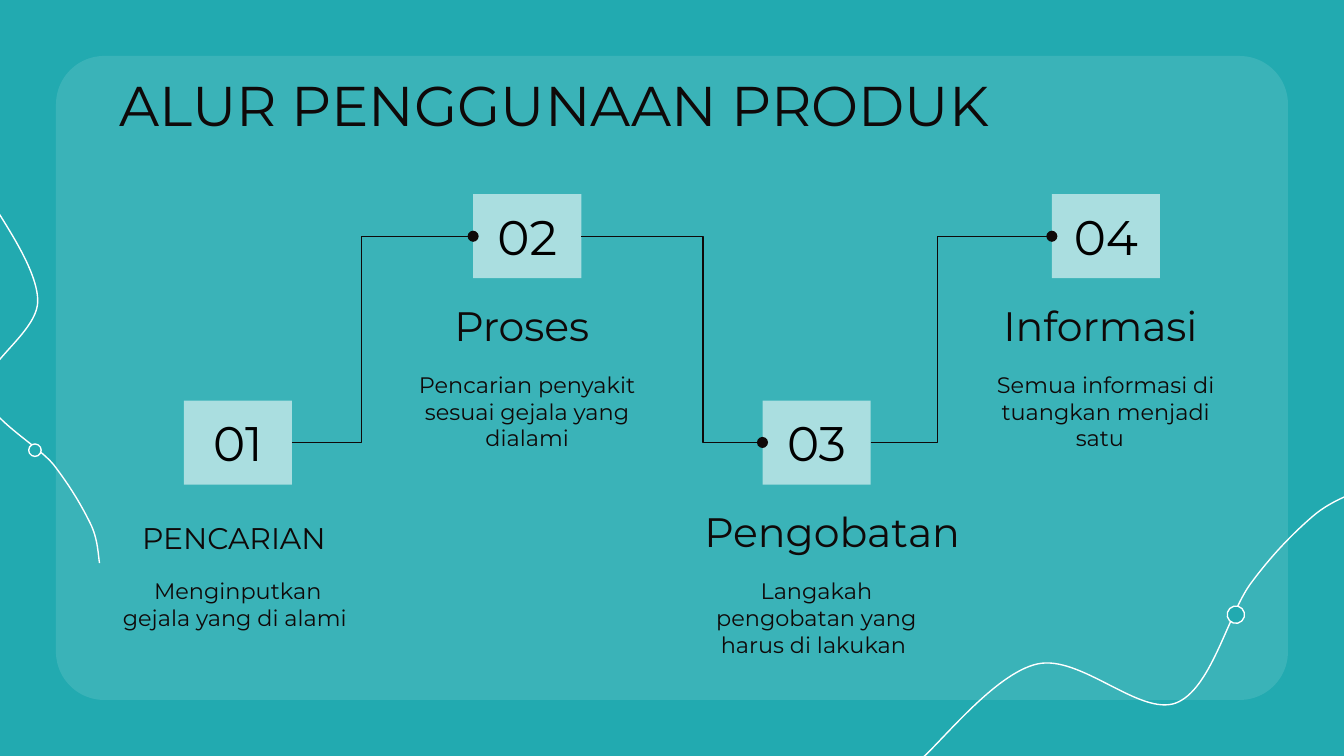
import math
from dataclasses import dataclass

from lxml import etree
from pptx import Presentation
from pptx.dml import color
from pptx.enum import shapes, text
from pptx.oxml import ns
from pptx.util import Pt

COLORS = {
    "teal": "22AAB0",
    "white": "FFFFFF",
    "ink": "0F0909",
    "black": "000000",
}
FONT = "Montserrat"
INSET = 7.2
LINE_WIDTH = 0.75

# Step layout, all in points
FIRST_LEFT, PITCH = 98.5, 155
HIGH, LOW = 104.1, 214.6
BOX_WIDTH, BOX_HEIGHT = 57.9, 45
TEXT_SHIFT = -40.2
HEADING_DROP, HEADING_HEIGHT = 55.6, 34.6
BODY_DROP, BODY_WIDTH = 87.4, 138.2


@dataclass
class Step:
    heading: str
    body: str
    top: float
    heading_size: float = 22
    heading_width: float = BODY_WIDTH


@dataclass
class Wave:
    """A chain of cubic curves (start, then three points each) with a ring on it."""
    points: list[tuple[float, float]]
    rotation: float
    ring_center: tuple[float, float]
    ring_size: float


STEPS = [
    Step("PENCARIAN ", "Menginputkan gejala yang di alami ", LOW, heading_size=16),
    Step("Proses ", "Pencarian penyakit sesuai gejala yang dialami", HIGH),
    Step("Pengobatan ", "Langakah pengobatan yang harus di lakukan ", LOW,
         heading_width=155),
    Step("Informasi ", "Semua informasi di tuangkan menjadi satu  ", HIGH),
]
BENDS = [0.384, 0.672, 0.368]

LEFT_WAVE = Wave(
    [(-4.3, 108), (0, 116.6), (20.9, 144.7), (20.2, 162),
     (19.4, 178.6), (-9.4, 195.1), (-8.6, 209.5),
     (-7.2, 223.9), (19.4, 237.6), (28.8, 249.1),
     (38.2, 261.4), (43.9, 271.4), (48.2, 280.1),
     (52.6, 288.7), (52.6, 298.1), (53.3, 301.7)],
    60.7, (18.7, 241.2), 6.7)
RIGHT_WAVE = Wave(
    [(492.5, 407.5), (503.3, 398.9), (532.8, 360.7), (555.8, 355.7),
     (578.9, 350.6), (610.6, 383.8), (630, 376.6),
     (648.7, 369.4), (657.4, 330.5), (669.6, 313.2),
     (681.8, 296.6), (693.4, 285.1), (703.4, 276.5),
     (713.5, 267.8), (725.8, 264.2), (730.1, 262.1)],
    315.8, (662.1, 329.3), 9.3)


def rgb(name: str) -> color.RGBColor:
    return color.RGBColor.from_string(COLORS[name])


def paint(shape, fill: str | None, alpha: int = 100, line: str | None = None) -> None:
    shape.shadow.inherit = False
    if fill:
        shape.fill.solid()
        shape.fill.fore_color.rgb = rgb(fill)
        if alpha < 100:
            tone = shape.fill._xPr.find(".//" + ns.qn("a:srgbClr"))
            etree.SubElement(tone, ns.qn("a:alpha"), val=str(alpha * 1000))
    else:
        shape.fill.background()
    if line:
        shape.line.color.rgb = rgb(line)
        shape.line.width = Pt(LINE_WIDTH)
    else:
        shape.line.fill.background()


def write(shape, words: str, size: float, anchor, ink: str = "ink",
          align=text.PP_ALIGN.CENTER) -> None:
    frame = shape.text_frame
    frame.text = words
    frame.word_wrap = True
    frame.auto_size = text.MSO_AUTO_SIZE.NONE
    frame.vertical_anchor = anchor
    frame.margin_left = frame.margin_right = Pt(INSET)
    frame.margin_top = frame.margin_bottom = Pt(INSET)
    para = frame.paragraphs[0]
    para.alignment = align
    font = para.runs[0].font
    font.name, font.size, font.color.rgb = FONT, Pt(size), rgb(ink)


def turn(x: float, y: float, degrees: float) -> tuple[float, float]:
    """Rotate a point clockwise about the slide's top left corner."""
    angle = math.radians(degrees)
    return (x * math.cos(angle) - y * math.sin(angle),
            x * math.sin(angle) + y * math.cos(angle))


def bend_segments(curve) -> None:
    """Turn every three straight segments into one cubic curve."""
    lines = list(curve._element.iter(ns.qn("a:lnTo")))
    for first in range(0, len(lines), 3):
        cubic = etree.Element(ns.qn("a:cubicBezTo"))
        lines[first].addprevious(cubic)
        for line in lines[first:first + 3]:
            cubic.append(line[0])
            line.getparent().remove(line)


def draw_wave(page, wave: Wave) -> None:
    level = [turn(Pt(x), Pt(y), -wave.rotation) for x, y in wave.points]
    builder = page.shapes.build_freeform(*map(round, level[0]))
    builder.add_line_segments(level[1:], close=False)
    curve = builder.convert_to_shape()
    bend_segments(curve)
    paint(curve, None, line="white")
    center_x, center_y = turn(curve.left + curve.width / 2,
                              curve.top + curve.height / 2, wave.rotation)
    curve.left = round(center_x - curve.width / 2)
    curve.top = round(center_y - curve.height / 2)
    curve.rotation = wave.rotation

    x, y = (center - wave.ring_size / 2 for center in wave.ring_center)
    ring = page.shapes.add_shape(shapes.MSO_SHAPE.OVAL, Pt(x), Pt(y),
                                 Pt(wave.ring_size), Pt(wave.ring_size))
    ring.rotation = wave.rotation
    paint(ring, "teal", line="white")


def draw_step(page, number: int, step: Step) -> None:
    left = FIRST_LEFT + (number - 1) * PITCH
    box = page.shapes.add_shape(shapes.MSO_SHAPE.RECTANGLE, Pt(left), Pt(step.top),
                                Pt(BOX_WIDTH), Pt(BOX_HEIGHT))
    paint(box, "white", alpha=57)
    write(box, f"{number:02}", 26, text.MSO_ANCHOR.MIDDLE, ink="black")

    text_left = Pt(left + TEXT_SHIFT)
    body = page.shapes.add_textbox(text_left, Pt(step.top + BODY_DROP),
                                   Pt(BODY_WIDTH), Pt(BOX_HEIGHT))
    write(body, step.body, 12, text.MSO_ANCHOR.TOP)
    heading = page.shapes.add_textbox(text_left, Pt(step.top + HEADING_DROP),
                                      Pt(step.heading_width), Pt(HEADING_HEIGHT))
    write(heading, step.heading, step.heading_size, text.MSO_ANCHOR.BOTTOM)


def link_steps(page, index: int, bend: float) -> None:
    """Join a step to the next; bend is the share of the gap before the turn."""
    left = FIRST_LEFT + index * PITCH
    start, end = (step.top + BOX_HEIGHT / 2 for step in STEPS[index:index + 2])
    link = page.shapes.add_connector(shapes.MSO_CONNECTOR.ELBOW,
                                     Pt(left + BOX_WIDTH), Pt(start),
                                     Pt(left + PITCH), Pt(end))
    link.line.color.rgb = rgb("ink")
    link.line.width = Pt(LINE_WIDTH)
    etree.SubElement(link.line._get_or_add_ln(), ns.qn("a:tailEnd"), type="oval")
    properties = link._element.spPr
    etree.SubElement(properties, ns.qn("a:effectLst"))
    guides = properties.find(".//" + ns.qn("a:avLst"))
    etree.SubElement(guides, ns.qn("a:gd"), name="adj1",
                     fmla=f"val {round(bend * 100000)}")


def main() -> None:
    deck = Presentation()
    deck.slide_width, deck.slide_height = Pt(720), Pt(405)
    page = deck.slides.add_slide(deck.slide_layouts[5])
    page.background.fill.solid()
    page.background.fill.fore_color.rgb = rgb("teal")

    panel = page.shapes.add_shape(shapes.MSO_SHAPE.ROUNDED_RECTANGLE,
                                  Pt(30), Pt(30), Pt(660), Pt(345))
    panel.adjustments[0] = 0.075
    paint(panel, "white", alpha=11)
    draw_wave(page, LEFT_WAVE)

    title = page.shapes.title
    title.left, title.top, title.width, title.height = Pt(57), Pt(30.7), Pt(607), Pt(45)
    write(title, "ALUR PENGGUNAAN PRODUK", 30, text.MSO_ANCHOR.TOP,
          align=text.PP_ALIGN.LEFT)
    page.shapes._spTree.append(title._element)  # bring in front of the panel

    for number, step in enumerate(STEPS, start=1):
        draw_step(page, number, step)
    for index, bend in enumerate(BENDS):
        link_steps(page, index, bend)
    draw_wave(page, RIGHT_WAVE)
    deck.save("out.pptx")


if __name__ == "__main__":
    main()
